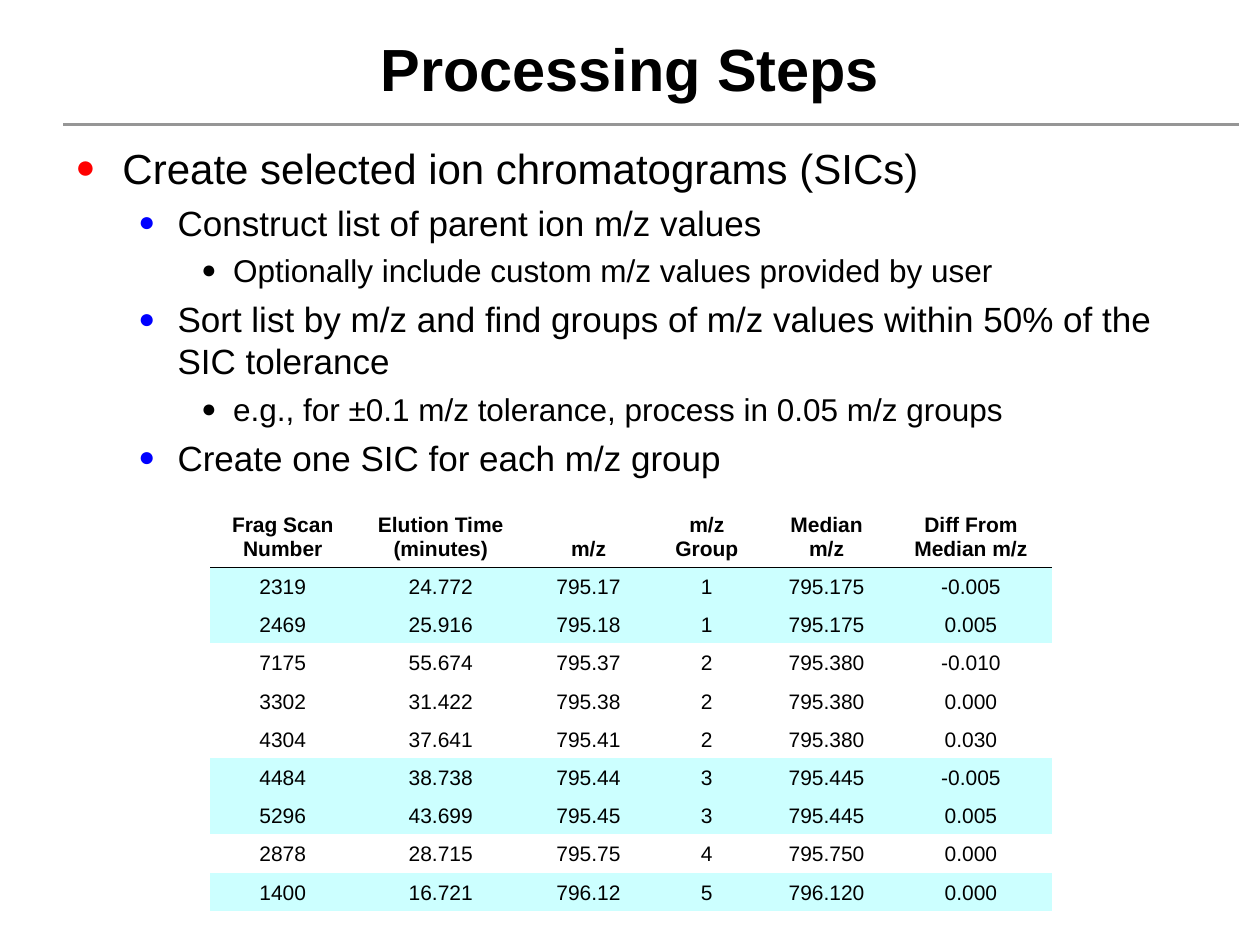
import pptx
import pptx.dml.color
import pptx.enum.shapes
import pptx.enum.text
import pptx.oxml
import pptx.util
from pptx.util import Cm, Pt

# Content
TITLE = "Processing Steps"
STEPS = [  # (outline level, text)
    (0, "Create selected ion chromatograms (SICs)"),
    (1, "Construct list of parent ion m/z values"),
    (2, "Optionally include custom m/z values provided by user"),
    (1, "Sort list by m/z and find groups of m/z values within 50% of the SIC tolerance"),
    (2, "e.g., for ±0.1 m/z tolerance, process in 0.05 m/z groups"),
    (1, "Create one SIC for each m/z group"),
]
HEADINGS = ["Frag Scan Number", "Elution Time (minutes)", "m/z",
            "m/z Group", "Median m/z", "Diff From Median m/z"]
GROUP_COLUMN = HEADINGS.index("m/z Group")
SCANS = [
    ("2319", "24.772", "795.17", "1", "795.175", "-0.005"),
    ("2469", "25.916", "795.18", "1", "795.175", "0.005"),
    ("7175", "55.674", "795.37", "2", "795.380", "-0.010"),
    ("3302", "31.422", "795.38", "2", "795.380", "0.000"),
    ("4304", "37.641", "795.41", "2", "795.380", "0.030"),
    ("4484", "38.738", "795.44", "3", "795.445", "-0.005"),
    ("5296", "43.699", "795.45", "3", "795.445", "0.005"),
    ("2878", "28.715", "795.75", "4", "795.750", "0.000"),
    ("1400", "16.721", "796.12", "5", "796.120", "0.000"),
]

# Look
THEME = {
    "font": "Arial",
    "text": "000000",
    "rule": "969696",
    "band": "CCFFFF",
    "title_size": 34,
    "table_size": 12,
    "levels": [  # size and space before in points, indents in cm
        {"size": 24, "before": 6, "left": 0.95, "hang": 0.95, "bullet": "FF0000"},
        {"size": 20, "before": 5, "left": 2.06, "hang": 0.79, "bullet": "0000FF"},
        {"size": 18, "before": 4.5, "left": 3.18, "hang": 0.64, "bullet": "000000"},
    ],
}
MARGIN, CONTENT_WIDTH = 1.27, 22.86
COLUMN_WIDTHS = [2.92, 3.45, 2.51, 2.26, 2.57, 3.25]
HEADING_HEIGHT, SCAN_HEIGHT = 1.27, 0.77
CENTER = pptx.enum.text.PP_ALIGN.CENTER
ANCHOR = pptx.enum.text.MSO_ANCHOR


def rgb(value):
    return pptx.dml.color.RGBColor.from_string(value)


def element(xml):
    namespace = "http://schemas.openxmlformats.org/drawingml/2006/main"
    return pptx.oxml.parse_xml(xml.replace(" ", f' xmlns:a="{namespace}" ', 1))


def write(paragraph, text, size, bold=False):
    run = paragraph.add_run()
    run.text = text
    run.font.name = THEME["font"]
    run.font.size = Pt(size)
    run.font.bold = bold
    run.font.color.rgb = rgb(THEME["text"])


def add_bullet(paragraph, level):
    properties = paragraph._p.get_or_add_pPr()
    properties.set("marL", str(Cm(level["left"])))
    properties.set("indent", str(-Cm(level["hang"])))
    for xml in (f'<a:buClr ><a:srgbClr val="{level["bullet"]}"/></a:buClr>',
                '<a:buSzPct val="80000"/>',
                f'<a:buFont typeface="{THEME["font"]}"/>',
                '<a:buChar char="●"/>'):
        properties.append(element(xml))


def add_title(slide):
    title = slide.shapes.title
    title.left, title.top = Cm(MARGIN), Cm(0.64)
    title.width, title.height = Cm(CONTENT_WIDTH), Cm(1.47)
    frame = title.text_frame
    frame.vertical_anchor = ANCHOR.MIDDLE
    frame.auto_size = pptx.enum.text.MSO_AUTO_SIZE.NONE
    frame.paragraphs[0].alignment = CENTER
    write(frame.paragraphs[0], TITLE, THEME["title_size"], bold=True)

    # Rule under the title
    rule = slide.shapes.add_connector(
        pptx.enum.shapes.MSO_CONNECTOR.STRAIGHT, Cm(MARGIN), Cm(2.51), Cm(24.97), Cm(2.51))
    rule.line.color.rgb = rgb(THEME["rule"])
    rule.line.width = Pt(2.25)
    rule._element.spPr.append(element("<a:effectLst />"))


def add_steps(slide):
    steps = slide.shapes.add_textbox(Cm(MARGIN), Cm(2.74), Cm(CONTENT_WIDTH), Cm(7.19))
    frame = steps.text_frame
    frame.word_wrap = True
    for index, (depth, text) in enumerate(STEPS):
        level = THEME["levels"][depth]
        paragraph = frame.add_paragraph() if index else frame.paragraphs[0]
        paragraph.level = depth
        if index:
            paragraph.space_before = Pt(level["before"])
        add_bullet(paragraph, level)
        write(paragraph, text, level["size"])


def add_scan_table(slide):
    heights = [HEADING_HEIGHT] + [SCAN_HEIGHT] * len(SCANS)
    scans = slide.shapes.add_table(
        len(heights), len(HEADINGS), Cm(4.24), Cm(10.16),
        Cm(sum(COLUMN_WIDTHS)), Cm(sum(heights))).table
    scans.first_row = scans.horz_banding = False
    for column, width in zip(scans.columns, COLUMN_WIDTHS):
        column.width = Cm(width)
    for row, height in zip(scans.rows, heights):
        row.height = Cm(height)

    for r, values in enumerate([HEADINGS] + SCANS):
        heading = r == 0
        # Odd m/z groups are tinted
        tinted = not heading and int(values[GROUP_COLUMN]) % 2 == 1
        for c, value in enumerate(values):
            cell = scans.cell(r, c)
            cell.vertical_anchor = ANCHOR.BOTTOM
            if tinted:
                cell.fill.solid()
                cell.fill.fore_color.rgb = rgb(THEME["band"])
            else:
                cell.fill.background()
            paragraph = cell.text_frame.paragraphs[0]
            paragraph.alignment = CENTER
            write(paragraph, value, THEME["table_size"], bold=heading)
            set_borders(cell, "B" if heading else "T" if r == 1 else "")


def set_borders(cell, ruled_side):
    """Draw one thin rule and clear the other sides."""
    properties = cell._tc.get_or_add_tcPr()
    for position, side in enumerate("LRTB"):
        if side == ruled_side:
            paint = f'<a:solidFill><a:srgbClr val="{THEME["text"]}"/></a:solidFill>'
        else:
            paint = "<a:noFill/>"
        properties.insert(position, element(
            f'<a:ln{side} w="{Pt(0.45)}">{paint}</a:ln{side}>'))


def main():
    deck = pptx.Presentation()
    deck.slide_width, deck.slide_height = Cm(25.4), Cm(19.05)
    title_only = deck.slide_layouts[5]
    slide = deck.slides.add_slide(title_only)
    add_title(slide)
    add_steps(slide)
    add_scan_table(slide)
    deck.save("out.pptx")


if __name__ == "__main__":
    main()
